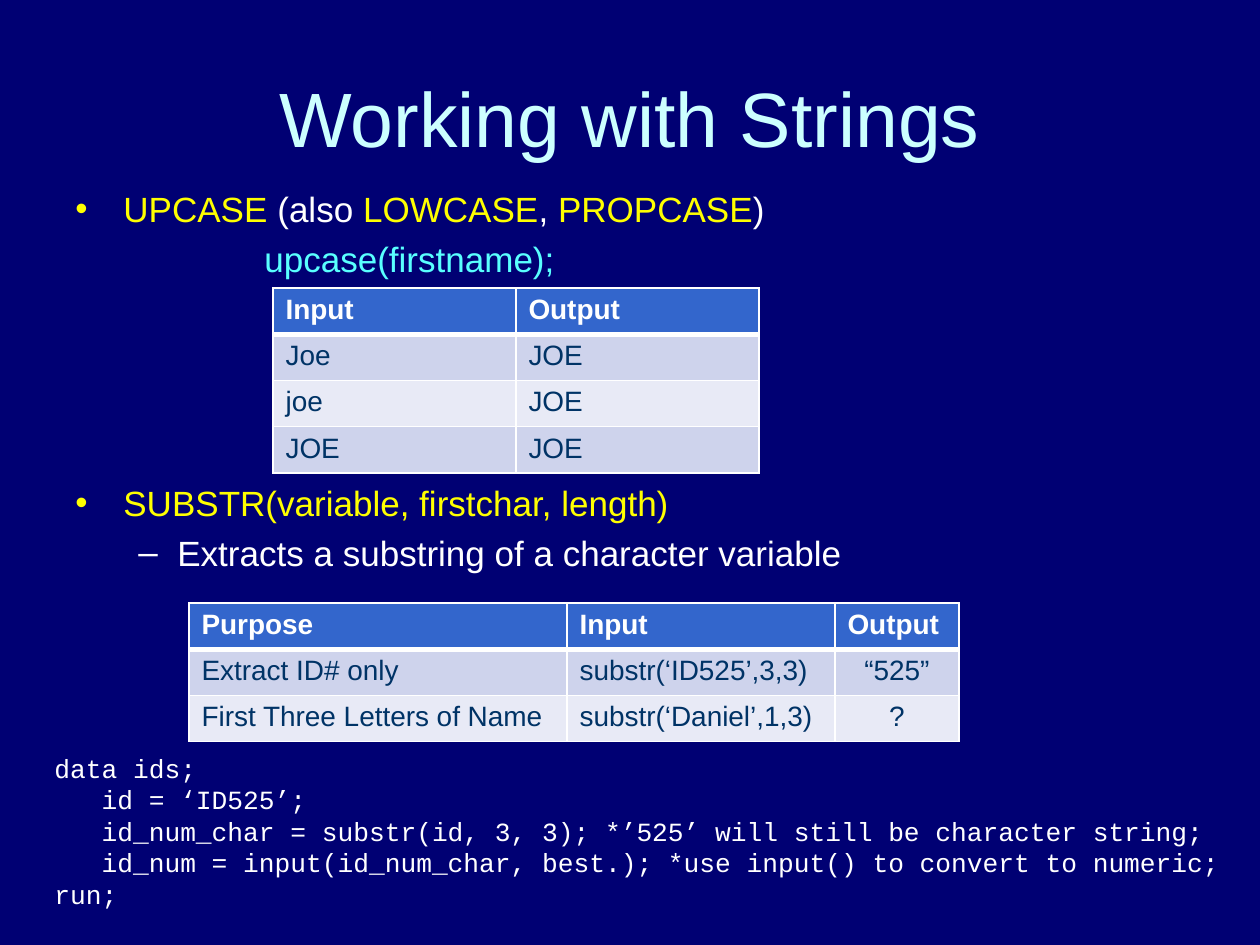
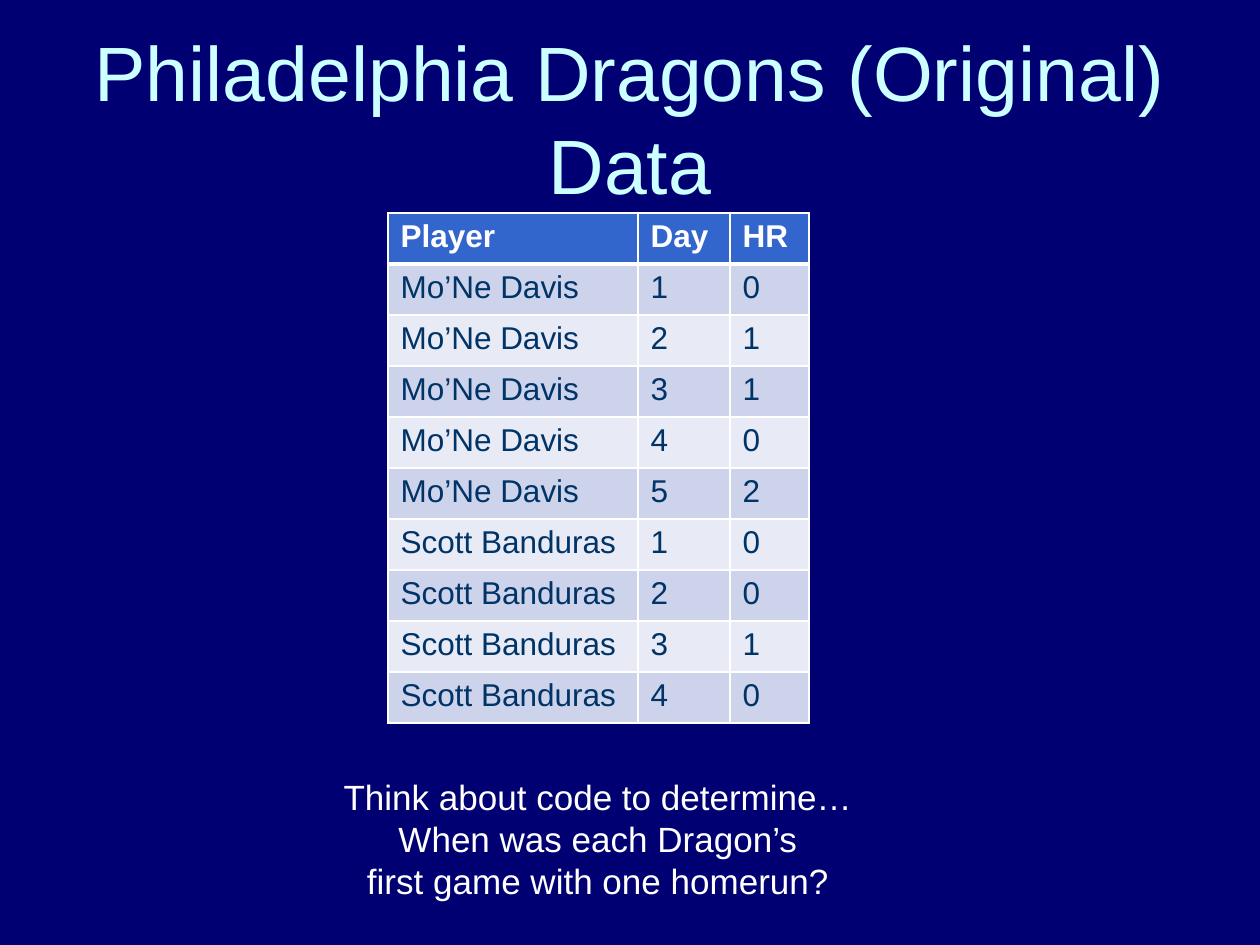
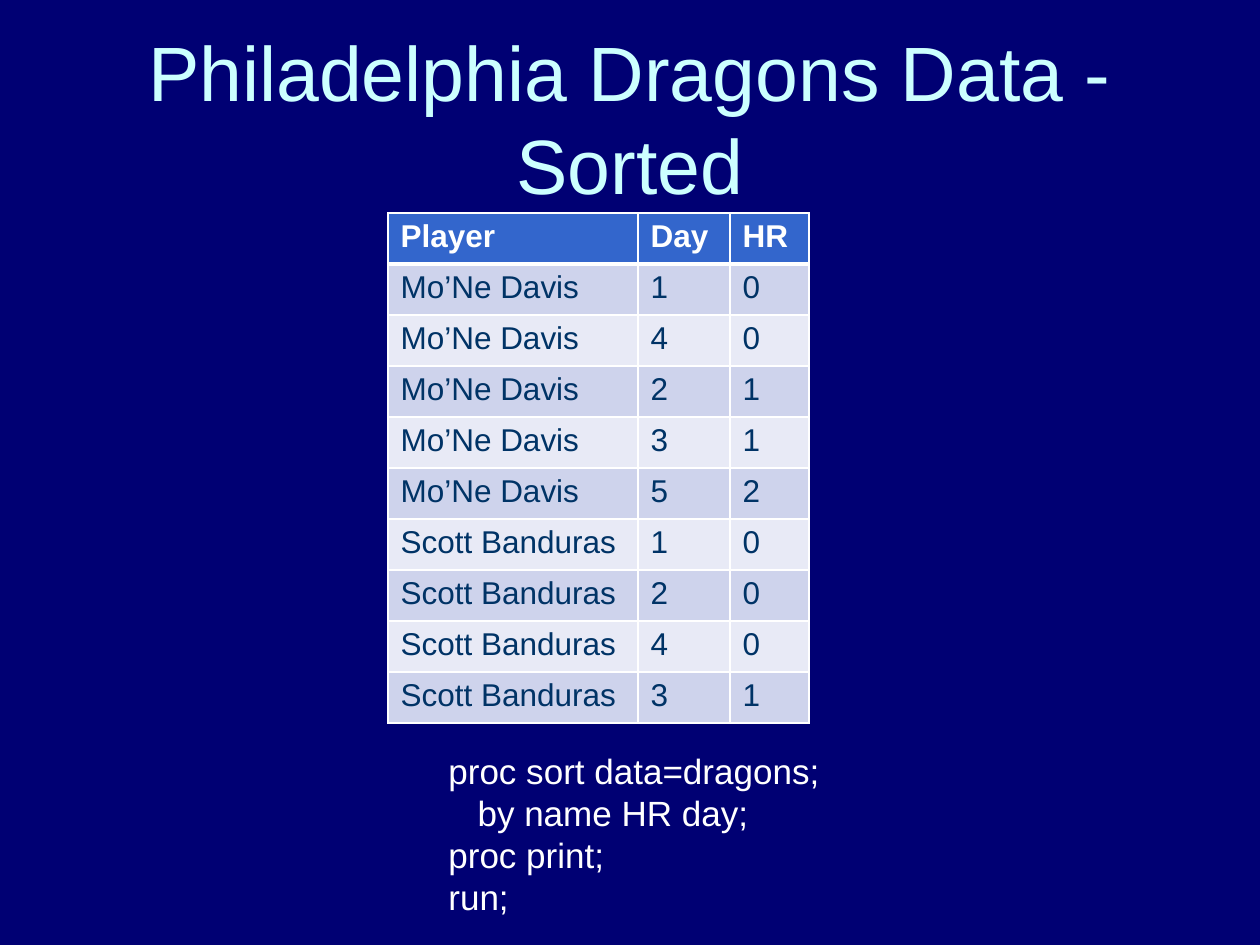
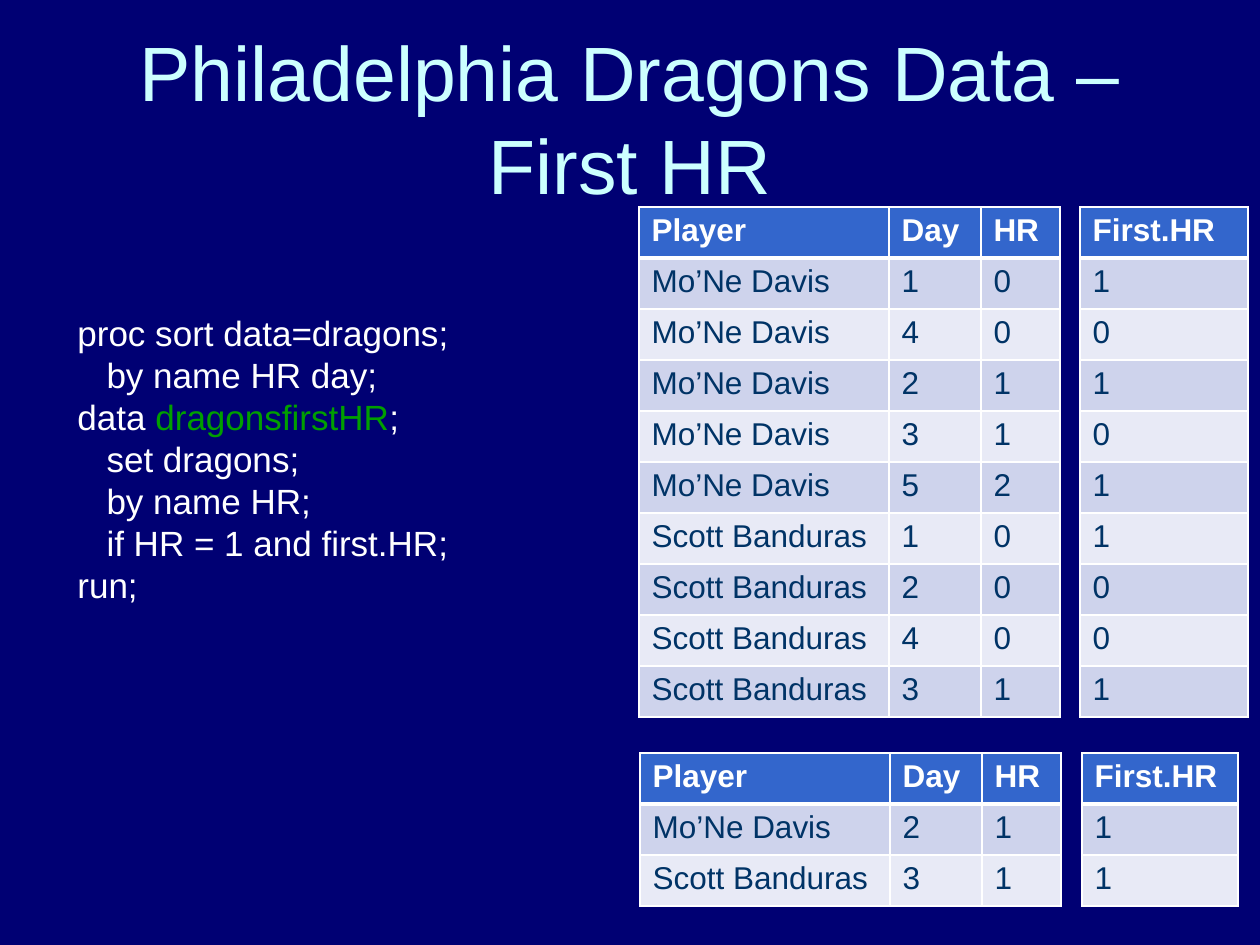
from lxml import etree
from pptx import Presentation
from pptx.dml.color import RGBColor
from pptx.enum.text import MSO_ANCHOR, PP_ALIGN
from pptx.oxml.ns import qn
from pptx.util import Pt

LEFT, CENTER = PP_ALIGN.LEFT, PP_ALIGN.CENTER
TOP, MIDDLE = MSO_ANCHOR.TOP, MSO_ANCHOR.MIDDLE

EMU_PER_PX = 914400 / 126
SANS, MONO = "Arial", "Courier New"
COLORS = {
    "background": "000073",
    "title": "CCFFFF",
    "text": "FFFFFF",
    "keyword": "FFFF00",
    "code": "59FFFF",
    "dataset": "009F00",
    "header": "3366CC",
    "odd_row": "CED3EC",
    "even_row": "E8EAF6",
    "cell_text": "003366",
    "border": "FFFFFF",
}


def px(n):
    return round(n * EMU_PER_PX)


def rgb(name):
    return RGBColor.from_string(COLORS[name])


class Deck:
    """Holds the shared style and the current slide."""

    def __init__(self):
        self.prs = Presentation()
        self.prs.slide_width, self.prs.slide_height = px(1260), px(945)
        fill = self.prs.slide_master.background.fill
        fill.solid()
        fill.fore_color.rgb = rgb("background")
        self.s = None

    def new_slide(self):
        self.s = self.prs.slides.add_slide(self.prs.slide_layouts[6])

    def style(self, r, size, color, font=SANS, bold=False):
        r.font.name, r.font.size, r.font.bold = font, Pt(size), bold
        r.font.color.rgb = rgb(color)

    def text(self, box, lines, size=20, color="text", font=SANS,
             align=LEFT, anchor=TOP, wrap=True):
        """Each line is a string or a list of (text, colour) parts."""
        tf = self.s.shapes.add_textbox(*map(px, box)).text_frame
        tf.word_wrap, tf.vertical_anchor = wrap, anchor
        for i, line in enumerate(lines):
            p = tf.add_paragraph() if i else tf.paragraphs[0]
            p.alignment = align
            parts = [(line, color)] if isinstance(line, str) else line
            for part, part_color in parts:
                r = p.add_run()
                r.text = part
                self.style(r, size, part_color, font)
        return tf

    def title(self, text):
        self.text((63, 38, 1134, 158), [text], 44, "title",
                  align=CENTER, anchor=MIDDLE)

    def outline(self, box, items):
        """Each item is (left margin, hanging indent, bullet, line)."""
        tf = self.text(box, [item[3] for item in items])
        for i, (p, item) in enumerate(zip(tf.paragraphs, items)):
            margin, hang, bullet, _ = item
            pPr = p._p.get_or_add_pPr()
            pPr.set("marL", str(px(margin)))
            pPr.set("indent", str(-px(hang)))
            if i:
                p.space_before = Pt(5)
            if bullet:
                etree.SubElement(pPr, qn("a:buFont"), typeface=SANS)
                etree.SubElement(pPr, qn("a:buChar"), char=bullet)

    def border(self, cell, side, width):
        ln = etree.SubElement(cell._tc.get_or_add_tcPr(), qn("a:ln" + side),
                              w=str(Pt(width)))
        fill = etree.SubElement(ln, qn("a:solidFill"))
        etree.SubElement(fill, qn("a:srgbClr"), val=COLORS["border"])

    def table(self, left, top, cols, rows, size=18, row_height=51, centered=()):
        """The first row is the header; centered lists body columns."""
        box = (left, top, sum(cols), row_height * len(rows))
        tbl = self.s.shapes.add_table(len(rows), len(cols), *map(px, box)).table
        for column, width in zip(tbl.columns, cols):
            column.width = px(width)
        for i, row in enumerate(rows):
            tbl.rows[i].height = px(row_height)
            fill = "header" if i == 0 else "odd_row" if i % 2 else "even_row"
            for j, value in enumerate(row):
                cell = tbl.cell(i, j)
                for side in "LRTB":
                    thick = (i, side) in ((0, "B"), (1, "T"))
                    self.border(cell, side, 3 if thick else 1)
                cell.fill.solid()
                cell.fill.fore_color.rgb = rgb(fill)
                cell.text = str(value)
                p = cell.text_frame.paragraphs[0]
                p.alignment = CENTER if i and j in centered else LEFT
                self.style(p.runs[0], size, "cell_text" if i else "text",
                           bold=i == 0)


# Game data: player, day, home runs
MONE, SCOTT = "Mo’Ne Davis", "Scott Banduras"
GAMES = [(name, day, hr)
         for name, hits in ((MONE, (0, 1, 1, 0, 2)), (SCOTT, (0, 0, 1, 0)))
         for day, hr in enumerate(hits, 1)]
SORTED_GAMES = sorted(GAMES, key=lambda g: (g[0], g[2], g[1]))
GROUPS = [(name, hr) for name, _, hr in SORTED_GAMES]
FIRST_HR = [int(i == 0 or GROUPS[i - 1] != g) for i, g in enumerate(GROUPS)]
FIRST_GAMES = [g for g, first in zip(SORTED_GAMES, FIRST_HR)
               if first and g[2] == 1]
GAME_HEADER = ("Player", "Day", "HR")
GAME_COLS = (250, 92, 79)
SORT_CODE = ["proc sort data=dragons;", "   by name HR day;"]


def strings_slide(deck):
    deck.new_slide()
    deck.title("Working with Strings")

    # Case functions
    deck.outline((63, 181, 1134, 102), [
        (48, 48, "•", [("UPCASE ", "keyword"), ("(also ", "text"),
                       ("LOWCASE", "keyword"), (", ", "text"),
                       ("PROPCASE", "keyword"), (")", "text")]),
        (189, 0, None, [("upcase(firstname);", "code")]),
    ])
    deck.table(273, 288, (243, 243), [
        ("Input", "Output"), ("Joe", "JOE"), ("joe", "JOE"), ("JOE", "JOE"),
    ], size=16, row_height=44)

    # Substrings
    deck.outline((63, 475, 1134, 102), [
        (48, 48, "•", [("SUBSTR(variable, firstchar, length)", "keyword")]),
        (102, 39, "–", "Extracts a substring of a character variable"),
    ])
    deck.table(189, 603, (378, 268, 124), [
        ("Purpose", "Input", "Output"),
        ("Extract ID# only", "substr(‘ID525’,3,3)", "“525”"),
        ("First Three Letters of Name", "substr(‘Daniel’,1,3)", "?"),
    ], size=16, row_height=45, centered=(2,))
    deck.text((42, 746, 1218, 172), [
        "data ids;",
        "   id = ‘ID525’;",
        "   id_num_char = substr(id, 3, 3); *’525’ will still be character string;",
        "   id_num = input(id_num_char, best.); *use input() to convert to numeric;",
        "run;",
    ], size=15, font=MONO)


def original_data_slide(deck):
    deck.new_slide()
    deck.title("Philadelphia Dragons (Original) Data")
    deck.table(388, 213, GAME_COLS, [GAME_HEADER] + GAMES)
    deck.text((329, 769, 538, 140), [
        "Think about code to determine…",
        "When was each Dragon’s",
        "first game with one homerun?",
    ], align=CENTER, wrap=False)


def sorted_data_slide(deck):
    deck.new_slide()
    deck.title("Philadelphia Dragons Data - Sorted")
    deck.table(388, 213, GAME_COLS, [GAME_HEADER] + SORTED_GAMES)
    deck.text((436, 743, 399, 183), SORT_CODE + ["proc print;", "run;"],
              wrap=False)


def first_hr_slide(deck):
    deck.new_slide()
    flag_header = ("First.HR",)

    # Selected games, then all sorted games with their flags
    deck.table(640, 753, GAME_COLS, [GAME_HEADER] + FIRST_GAMES)
    deck.table(639, 207, GAME_COLS, [GAME_HEADER] + SORTED_GAMES)
    deck.table(1080, 207, (168,), [flag_header] + [(f,) for f in FIRST_HR])

    deck.title("Philadelphia Dragons Data – First HR")
    deck.text((65, 305, 398, 310), SORT_CODE + [
        [("data ", "text"), ("dragonsfirstHR", "dataset"), (";", "text")],
        "   set dragons;",
        "   by name HR;",
        "   if HR = 1 and first.HR;",
        "run;",
    ], wrap=False)
    deck.table(1082, 753, (156,), [flag_header] + [(1,) for _ in FIRST_GAMES])


def main():
    deck = Deck()
    strings_slide(deck)
    original_data_slide(deck)
    sorted_data_slide(deck)
    first_hr_slide(deck)
    deck.prs.save("out.pptx")


if __name__ == "__main__":
    main()
